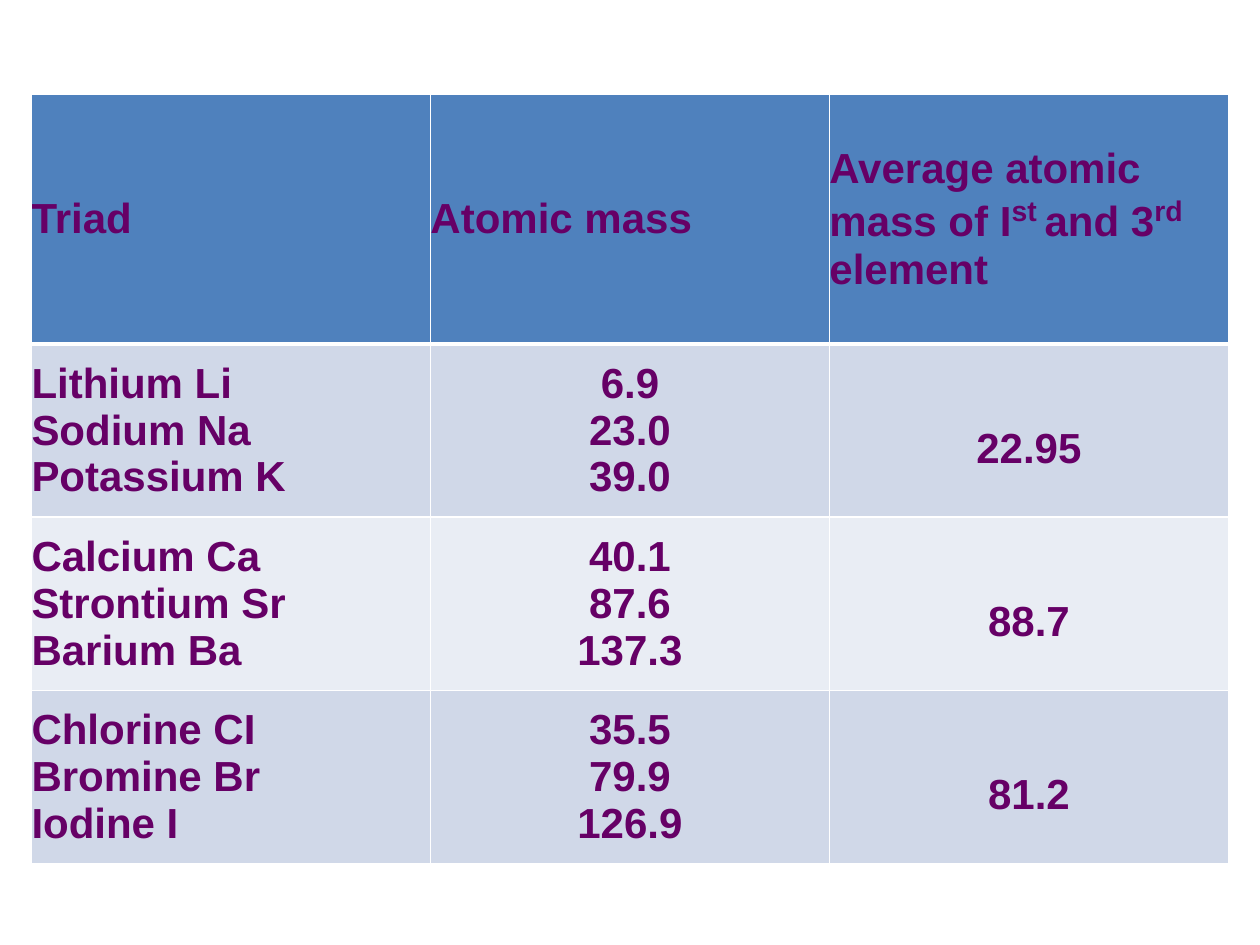
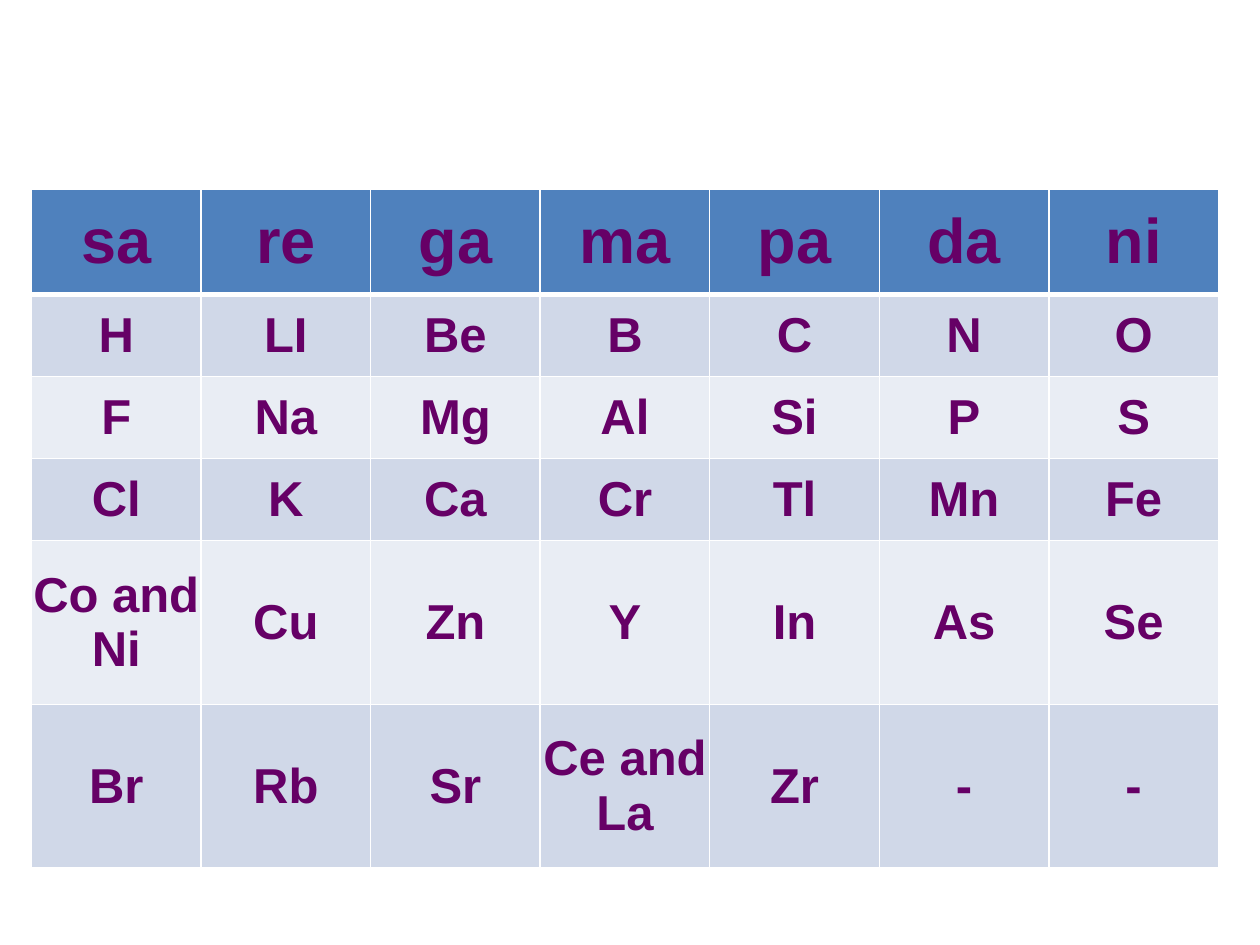
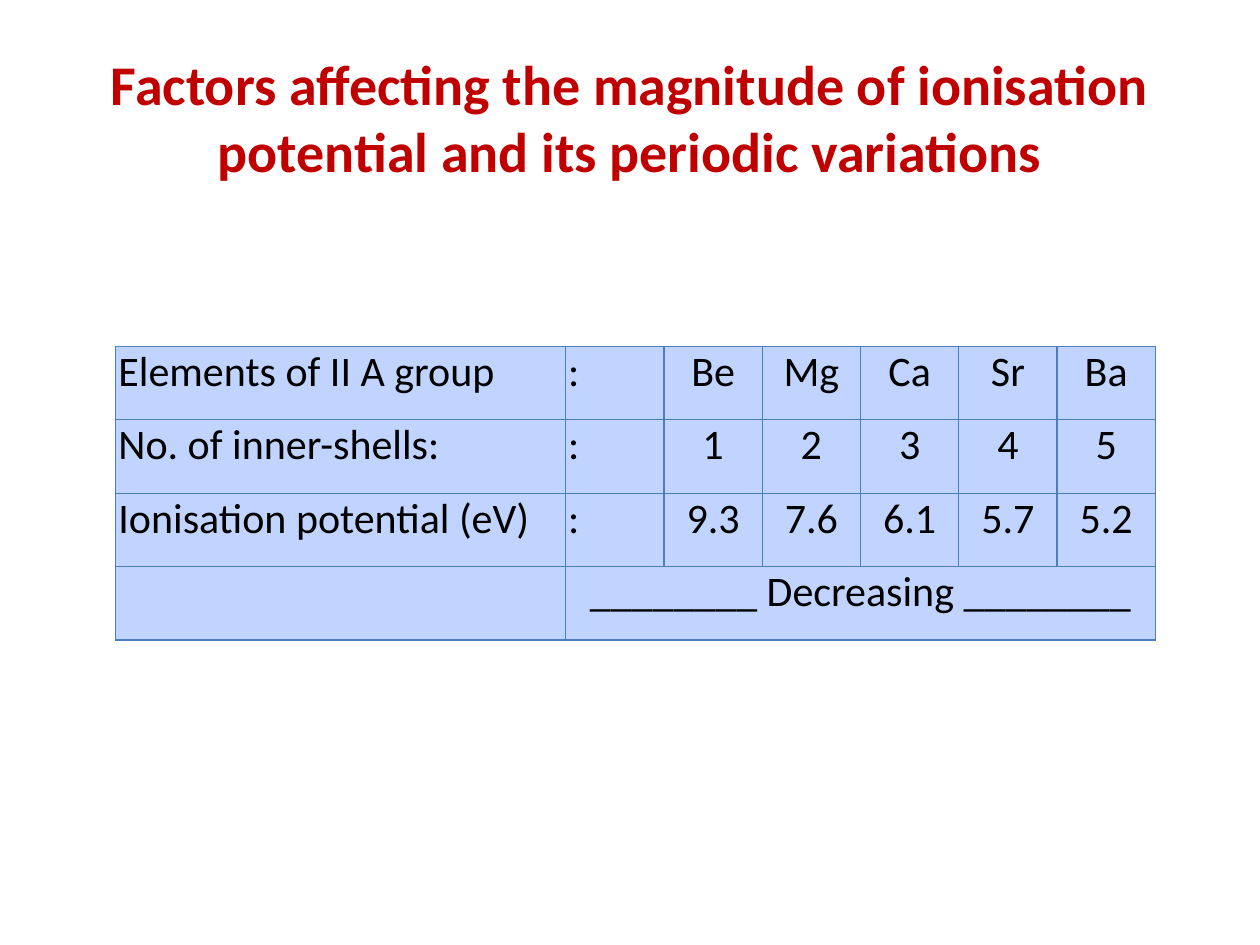
import pptx
import pptx.dml.color
import pptx.enum.text
import pptx.oxml
import pptx.oxml.ns
import pptx.util

Inches = pptx.util.Inches
Pt = pptx.util.Pt
Align = pptx.enum.text.PP_ALIGN
Anchor = pptx.enum.text.MSO_ANCHOR
color = pptx.dml.color.RGBColor.from_string

PURPLE, RED, BLACK, WHITE = "660066", "C00000", "000000", "FFFFFF"
HEADER_BLUE, BAND_DARK, BAND_LIGHT = "4F81BD", "D0D8E8", "E9EDF4"
PALE_BLUE, GRID_BLUE = "C0D4FF", "4B7EBC"
BANDS = [HEADER_BLUE, BAND_DARK, BAND_LIGHT, BAND_DARK, BAND_LIGHT, BAND_DARK]


def write_text(frame, text, *, size, font="Arial", ink=PURPLE, bold=True,
               align=Align.CENTER, before=0, after=0):
    """Write one paragraph per line; text between carets is superscript."""
    for line_number, line in enumerate(text.split("\n")):
        para = frame.add_paragraph() if line_number else frame.paragraphs[0]
        para.alignment = align
        para.space_before, para.space_after = Pt(before), Pt(after)
        for part_number, part in enumerate(line.split("^")):
            raised = part_number % 2 == 1
            span = para.add_run()
            span.text = part
            span.font.name = font
            span.font.size = Pt(size + 4 if raised else size)
            span.font.bold = bold
            span.font.color.rgb = color(ink)
            if raised:
                span.font._element.set("baseline", "30000")


def add_grid(page, left, top, widths, heights, fills, line, line_width,
             header_rule, margin, anchor):
    """Add an empty table with one fill per row and ruled cells."""
    table = page.shapes.add_table(
        len(heights), len(widths), Inches(left), Inches(top),
        Inches(sum(widths)), Inches(sum(heights))).table
    table.first_row = table.horz_banding = False
    for column, width in zip(table.columns, widths):
        column.width = Inches(width)
    for row_number, (row, height) in enumerate(zip(table.rows, heights)):
        row.height = Inches(height)
        rules = {"lnL": line_width, "lnR": line_width,
                 "lnT": header_rule if row_number == 1 else line_width,
                 "lnB": header_rule if row_number == 0 else line_width}
        for cell in row.cells:
            cell.margin_left = cell.margin_right = Inches(margin)
            cell.margin_top = cell.margin_bottom = 0
            cell.vertical_anchor = anchor
            cell.fill.solid()
            cell.fill.fore_color.rgb = color(fills[row_number])
            properties = cell._tc.get_or_add_tcPr()
            for position, (side, width) in enumerate(rules.items()):
                properties.insert(position, pptx.oxml.parse_xml(
                    f'<a:{side} {pptx.oxml.ns.nsdecls("a")} w="{Pt(width)}">'
                    f'<a:solidFill><a:srgbClr val="{line}"/></a:solidFill></a:{side}>'))
    return table


deck = pptx.Presentation()
deck.slide_width, deck.slide_height = Inches(10), Inches(7.5)
blank = deck.slide_layouts[6]

# Triads
triads = [
    ["Triad", "Atomic mass", "Average atomic mass of I^st ^and 3^rd^ element"],
    ["Lithium Li\nSodium Na\nPotassium K", "6.9\n23.0\n39.0", "22.95"],
    ["Calcium Ca\nStrontium Sr\nBarium Ba", "40.1\n87.6\n137.3", "88.7"],
    ["Chlorine CI\nBromine Br\nIodine I", "35.5\n79.9\n126.9", "81.2"],
]
page = deck.slides.add_slide(blank)
table = add_grid(page, 0.25, 0.75, [9.5 / 3] * 3, [1.98] + [1.375] * 3, BANDS,
                 WHITE, 1, 3, 0, Anchor.MIDDLE)
for row_number, row in enumerate(triads):
    for column_number, text in enumerate(row):
        cell = table.cell(row_number, column_number)
        is_label = row_number == 0 or column_number == 0
        write_text(cell.text_frame, text, size=24,
                   align=Align.LEFT if is_label else Align.CENTER)
        if row_number and column_number == 2:
            cell.margin_top = Inches(0.29)

# Octaves
octaves = [
    ["sa", "re", "ga", "ma", "pa", "da", "ni"],
    ["H", "LI", "Be", "B", "C", "N", "O"],
    ["F", "Na", "Mg", "Al", "Si", "P", "S"],
    ["Cl", "K", "Ca", "Cr", "Tl", "Mn", "Fe"],
    ["Co and Ni", "Cu", "Zn", "Y", "In", "As", "Se"],
    ["Br", "Rb", "Sr", "Ce and La", "Zr", "-", "-"],
]
page = deck.slides.add_slide(blank)
table = add_grid(page, 0.25, 1.5, [9.42 / 7] * 7, [0.84] + [0.65] * 3 + [1.3] * 2,
                 BANDS, WHITE, 1, 3, 0, Anchor.MIDDLE)
for row_number, row in enumerate(octaves):
    for column_number, text in enumerate(row):
        write_text(table.cell(row_number, column_number).text_frame, text,
                   size=28 if row_number else 36)

# Ionisation potential
ionisation = [
    ["Elements of II A group", ":", "Be", "Mg", "Ca", "Sr", "Ba"],
    ["No. of inner-shells:", ":", "1", "2", "3", "4", "5"],
    ["Ionisation potential (eV)", ":", "9.3", "7.6", "6.1", "5.7", "5.2"],
]
page = deck.slides.add_slide(blank)
title = page.shapes.add_textbox(Inches(0.5), Inches(0.3), Inches(9), Inches(1.25))
title.text_frame.word_wrap = True
title.text_frame.vertical_anchor = Anchor.MIDDLE
write_text(title.text_frame,
           "Factors affecting the magnitude of ionisation potential and its periodic variations",
           size=32, font="Calibri", ink=RED)

table = add_grid(page, 0.92, 2.75, [3.57] + [0.78] * 6, [2.33 / 4] * 4,
                 [PALE_BLUE] * 4, GRID_BLUE, 0.75, 0.75, 0.02, Anchor.TOP)
body = dict(size=24, font="Calibri", ink=BLACK, bold=False, before=3, after=1)
for row_number, row in enumerate(ionisation):
    for column_number, text in enumerate(row):
        write_text(table.cell(row_number, column_number).text_frame, text,
                   align=Align.LEFT if column_number < 2 else Align.CENTER, **body)
trend = table.cell(3, 1)
trend.merge(table.cell(3, 6))
write_text(trend.text_frame, "________ Decreasing ________", **body)

deck.save("out.pptx")
